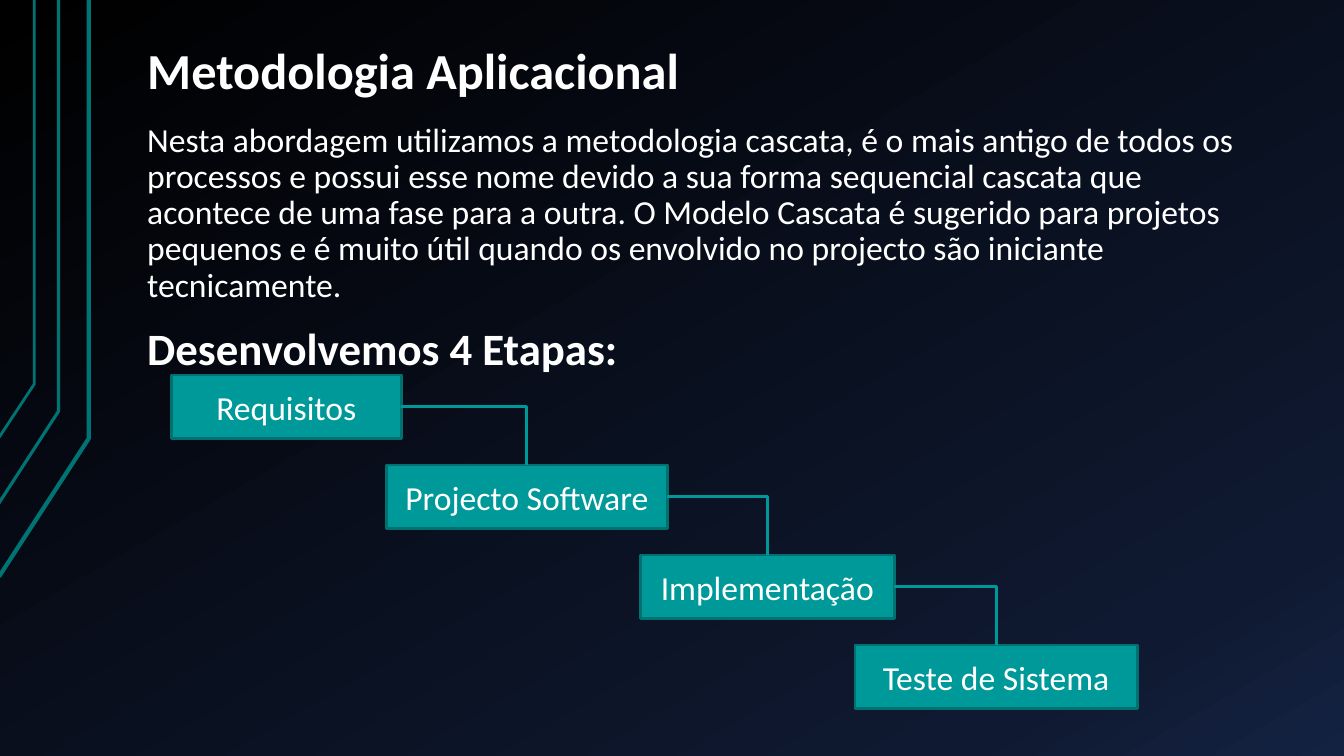
import copy

import pptx
import pptx.dml.color
import pptx.enum.shapes
import pptx.enum.text
import pptx.oxml
import pptx.oxml.ns
import pptx.util

RGBColor = pptx.dml.color.RGBColor
Inches = pptx.util.Inches
Pt = pptx.util.Pt
qn = pptx.oxml.ns.qn
ANCHOR = pptx.enum.text.MSO_ANCHOR
ALIGN = pptx.enum.text.PP_ALIGN

WHITE = RGBColor(0xFF, 0xFF, 0xFF)
TEAL = RGBColor(0x00, 0x99, 0x99)
BOX_EDGE = RGBColor(0x00, 0x71, 0x71)
RAIL = RGBColor(0x00, 0x73, 0x73)
GRADIENT = [
    (0, RGBColor(0x00, 0x00, 0x00)),
    (0.85, RGBColor(0x0F, 0x19, 0x31)),
    (1, RGBColor(0x14, 0x22, 0x42)),
]

FONT = "Calibri"
TITLE = "Metodologia Aplicacional"
INTRO = (
    "Nesta abordagem utilizamos a metodologia cascata, é o mais antigo de todos os "
    "processos e possui esse nome devido a sua forma sequencial cascata que acontece "
    "de uma fase para a outra. O Modelo Cascata é sugerido para projetos pequenos e é "
    "muito útil quando os envolvido no projecto são iniciante tecnicamente."
)
STAGES_HEADING = "Desenvolvemos 4 Etapas:"
STAGES = [
    ("Requisitos", 0, 2.28),
    ("Projecto Software", 2.13, 2.79),
    ("Implementação", 4.65, 2.52),
    ("Teste de Sistema", 6.78, 2.8),
]
RAILS = [(0.88, 4.35, 5.72, 3), (0.58, 4.08, 4.99, 2.25), (0.34, 3.81, 4.34, 2)]


def format_paragraph(p, size, bold=False):
    for r in p.runs:
        r.font.name = FONT
        r.font.size = Pt(size)
        r.font.bold = bold
        r.font.color.rgb = WHITE


def place_placeholder(ph, left, top, width, height, inset_top):
    ph.left, ph.top = Inches(left), Inches(top)
    ph.width, ph.height = Inches(width), Inches(height)
    tf = ph.text_frame
    tf.word_wrap = True
    tf.auto_size = pptx.enum.text.MSO_AUTO_SIZE.NONE
    tf.vertical_anchor = ANCHOR.TOP
    tf.margin_left = tf.margin_right = Inches(0.13)
    tf.margin_top, tf.margin_bottom = Inches(inset_top), Inches(0.07)
    return tf


def paint_background(s):
    fill = s.background.fill
    fill.gradient()
    fill.gradient_angle = 300
    stops = s.element.find(".//" + qn("a:gsLst"))
    stops.append(copy.deepcopy(stops[-1]))
    for stop, (position, color) in zip(fill.gradient_stops, GRADIENT):
        stop.position = position
        stop.color.rgb = color


def add_rails(s, left, top):
    for x, bend, end, weight in RAILS:
        points = [
            (Inches(left + px), Inches(top + py))
            for px, py in [(-0.01, end), (x, bend), (x, 0)]
        ]
        builder = s.shapes.build_freeform(*points[0])
        builder.add_line_segments(points[1:], close=False)
        sp = builder.convert_to_shape()
        sp.shadow.inherit = False
        sp.fill.background()
        sp.line.color.rgb = RAIL
        sp.line.width = Pt(weight)


def add_title(s, left, top, width, height):
    tf = place_placeholder(s.shapes.title, left, top, width, height, 0.16)
    tf.text = TITLE
    p = tf.paragraphs[0]
    p.alignment = ALIGN.LEFT
    p.line_spacing = 0.9
    format_paragraph(p, 36, True)


def add_body(s, left, top, width, height):
    tf = place_placeholder(s.placeholders[1], left, top, width, height, 0.07)
    tf.text = INTRO
    tf.add_paragraph().text = STAGES_HEADING
    for p, size, bold in zip(tf.paragraphs, (24, 32), (False, True)):
        p.line_spacing = 0.9
        p.space_before = Pt(16)
        format_paragraph(p, size, bold)
        pPr = p._p.get_or_add_pPr()
        pPr.set("marL", "0")
        pPr.set("indent", "0")
        pPr.append(pptx.oxml.parse_xml(f"<a:buNone {pptx.oxml.ns.nsdecls('a')}/>"))


def add_stage(s, name, left, top, width, height):
    sp = s.shapes.add_shape(
        pptx.enum.shapes.MSO_SHAPE.RECTANGLE,
        Inches(left), Inches(top), Inches(width), Inches(height),
    )
    sp.shadow.inherit = False
    sp.fill.solid()
    sp.fill.fore_color.rgb = TEAL
    sp.line.color.rgb = BOX_EDGE
    sp.line.width = Pt(2)
    tf = sp.text_frame
    tf.word_wrap = True
    tf.vertical_anchor = ANCHOR.MIDDLE
    tf.text = name
    tf.paragraphs[0].alignment = ALIGN.CENTER
    format_paragraph(tf.paragraphs[0], 24)
    return sp


def connect_stages(s, start, end):
    cxn = s.shapes.add_connector(pptx.enum.shapes.MSO_CONNECTOR.ELBOW, 0, 0, 0, 0)
    cxn.begin_connect(start, 3)
    cxn.end_connect(end, 0)
    cxn.line.color.rgb = TEAL
    cxn.line.width = Pt(2)
    spPr = cxn._element.spPr
    spPr.find(qn("a:prstGeom")).set("prst", "bentConnector2")
    spPr.append(pptx.oxml.parse_xml(f"<a:effectLst {pptx.oxml.ns.nsdecls('a')}/>"))


def add_cascade(s, left, top, height):
    box_height = 0.63
    step = (height - box_height) / (len(STAGES) - 1)
    boxes = [
        add_stage(s, name, left + offset, top + i * step, width, box_height)
        for i, (name, offset, width) in enumerate(STAGES)
    ]
    for start, end in zip(boxes, boxes[1:]):
        connect_stages(s, start, end)


def main():
    prs = pptx.Presentation()
    prs.slide_width, prs.slide_height = Inches(13.33), Inches(7.5)
    s = prs.slides.add_slide(prs.slide_layouts[1])
    paint_background(s)
    add_rails(s, 0, 0)
    add_title(s, 1.33, 0.3, 11.33, 1.34)
    add_body(s, 1.33, 1.15, 11.33, 4.88)
    add_cascade(s, 1.7, 3.72, 3.31)
    prs.save("out.pptx")


if __name__ == "__main__":
    main()
